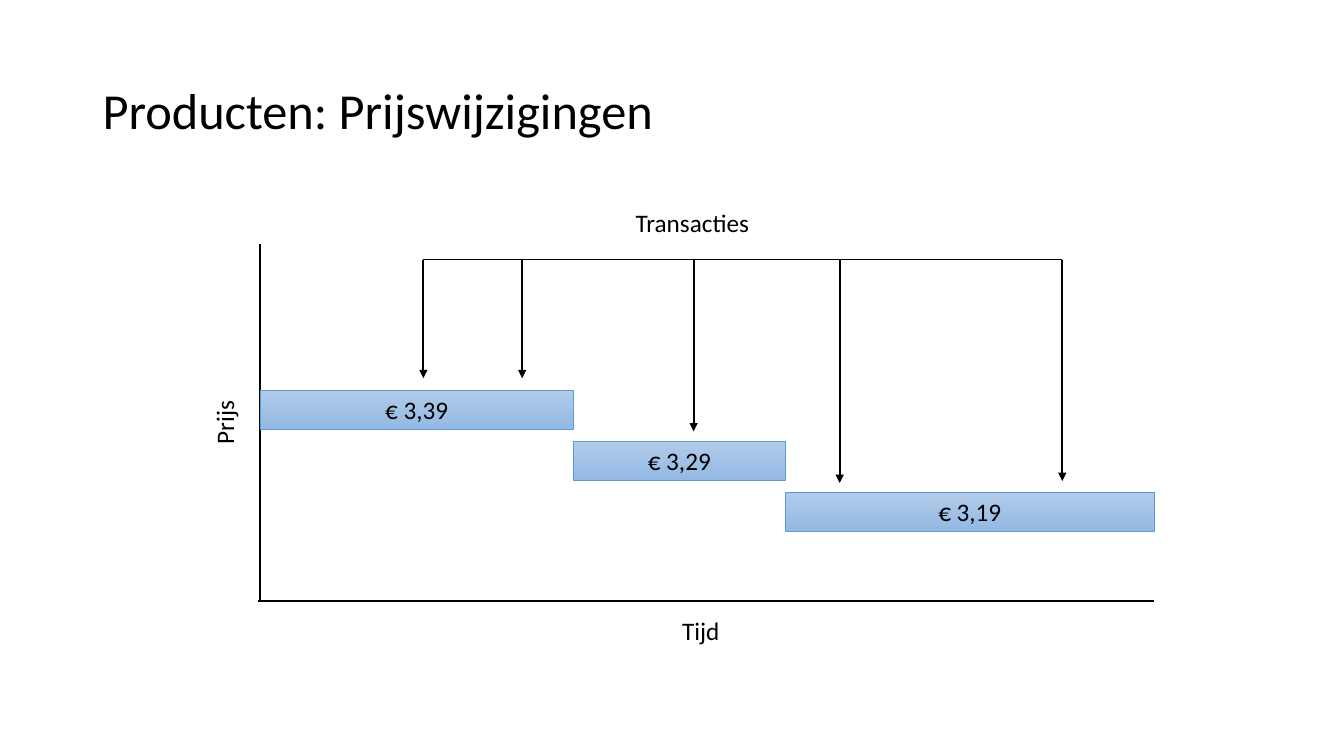
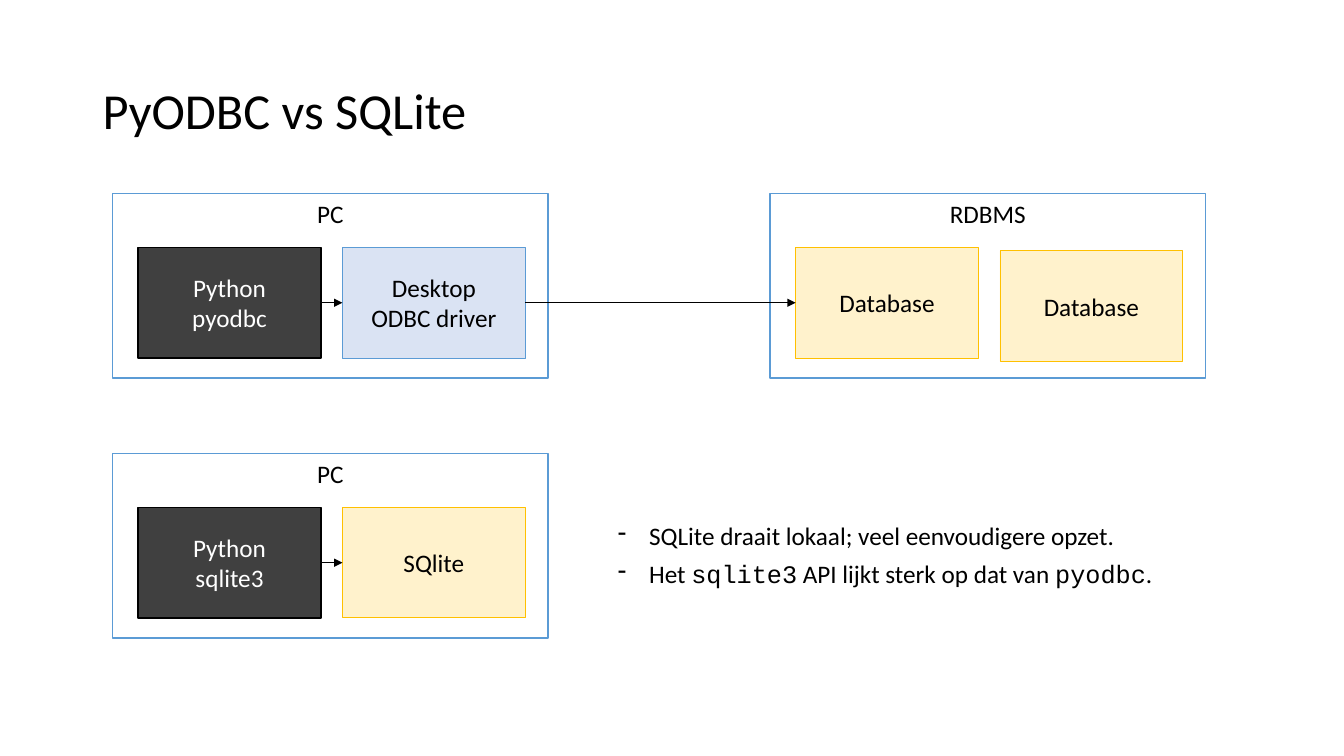
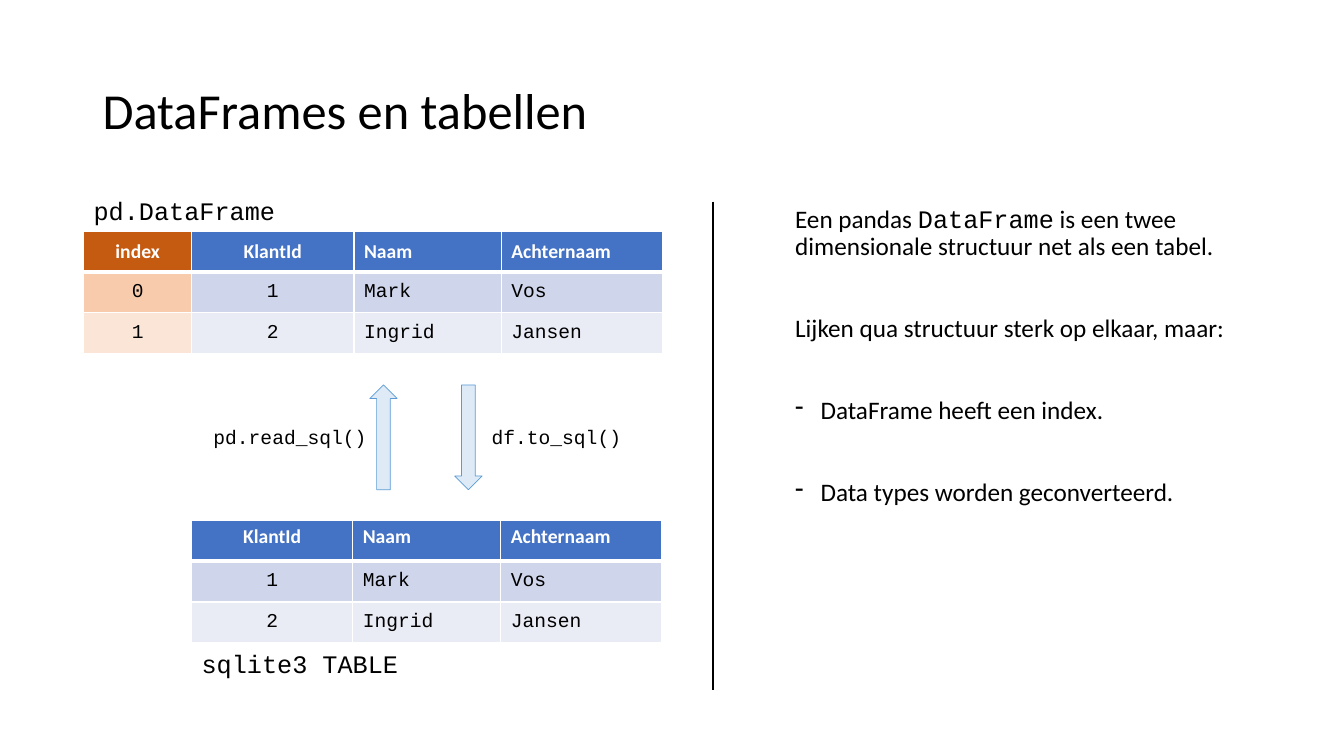
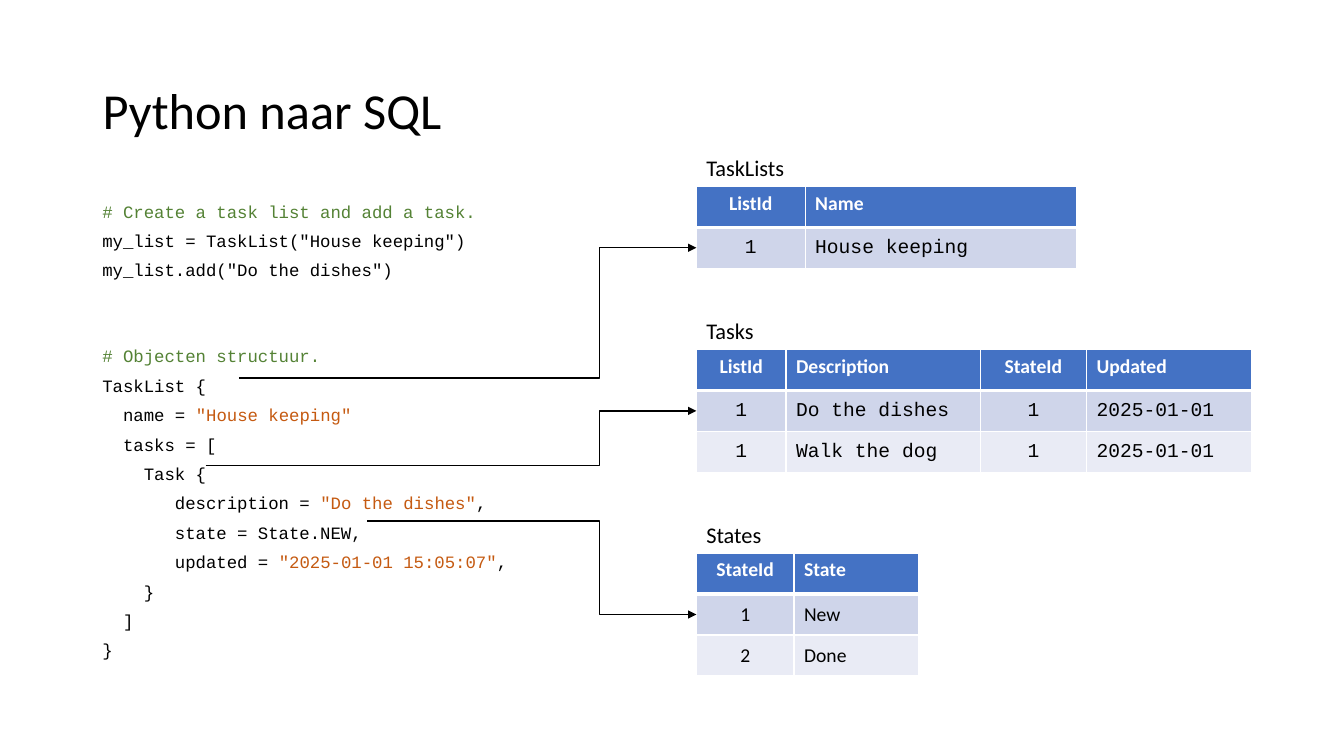
import pptx
import pptx.dml.color
import pptx.enum.shapes
import pptx.enum.text
import pptx.oxml
import pptx.oxml.ns
import pptx.util
from lxml import etree

Cm = pptx.util.Cm
Pt = pptx.util.Pt
SHAPES = pptx.enum.shapes.MSO_SHAPE
CONNECTORS = pptx.enum.shapes.MSO_CONNECTOR
ANCHORS = pptx.enum.text.MSO_ANCHOR
ALIGNS = pptx.enum.text.PP_ALIGN

SANS, MONO = "Calibri", "Courier New"
BLACK, WHITE = "000000", "FFFFFF"
BLUE, GOLD, ORANGE, GREEN = "5B9BD5", "FFC000", "C55A11", "548235"
BLUE_COLUMN = ("4472C4", "CFD5EA", "E9EBF5")
ORANGE_COLUMN = (ORANGE, "F8CBAD", "FBE5D6")
ROW_HEIGHT = 1.03

SYSTEM = {"fill": WHITE, "line": BLUE, "width": 1}
PYTHON = {"fill": "404040", "line": BLACK, "width": 1, "color": WHITE}
DRIVER = {"fill": "DAE3F3", "line": BLUE}
DATABASE = {"fill": "FFF2CC", "line": GOLD}


def rgb(value):
    """Turn a hex string into a colour."""
    return pptx.dml.color.RGBColor.from_string(value)


def add_xml(parent, tag, **attributes):
    """Append a DrawingML element and return it."""
    return etree.SubElement(parent, pptx.oxml.ns.qn(tag), **attributes)


def format_font(font, name=None, size=None, color=None, bold=None):
    """Set those font properties that are given."""
    if name:
        font.name = name
    if size:
        font.size = Pt(size)
    if color:
        font.color.rgb = rgb(color)
    if bold is not None:
        font.bold = bold


def add_bullet(para, indent):
    """Give a paragraph a hanging dash."""
    properties = para._p.get_or_add_pPr()
    properties.set("marL", str(Cm(indent)))
    properties.set("indent", str(-Cm(indent)))
    add_xml(properties, "a:buChar", char="-")


def write(frame, paragraphs, name=SANS, size=18, color=BLACK, bold=False, align=ALIGNS.LEFT,
          spacing=None, before=0, bullet=None):
    """Fill a text frame; a paragraph is a string or a list of (text, font changes) spans."""
    for number, spans in enumerate(paragraphs):
        para = frame.add_paragraph() if number else frame.paragraphs[0]
        if bullet:
            add_bullet(para, bullet)
        format_font(para.font, name, size, color, bold)
        para.alignment = align
        if spacing:
            para.line_spacing = spacing
        if number:
            para.space_before = Pt(before)
        for text, changes in [(spans, {})] if isinstance(spans, str) else spans:
            span = para.add_run()
            span.text = text
            format_font(span.font, **changes)


def add_page(deck, title):
    """Add a slide with a formatted title."""
    page = deck.slides.add_slide(deck.slide_layouts[5])
    box = page.shapes.title
    box.left, box.top, box.width, box.height = Cm(2.33), Cm(1.02), Cm(29.21), Cm(3.68)
    box.text_frame.vertical_anchor = ANCHORS.MIDDLE
    write(box.text_frame, [title], size=36, spacing=0.9)
    return page


def add_text(page, left, top, width, height, paragraphs, wrap=True, **style):
    """Add a text box."""
    box = page.shapes.add_textbox(Cm(left), Cm(top), Cm(width), Cm(height))
    box.text_frame.word_wrap = wrap
    write(box.text_frame, paragraphs, **style)
    return box


def add_label(page, left, top, width, text, height=1.02, **style):
    """Add a one-line label."""
    return add_text(page, left, top, width, height, [text], wrap=False, **style)


def add_box(page, left, top, width, height, paragraphs=(), fill=WHITE, line=BLUE, width_pt=0.5,
            color=BLACK, anchor=ANCHORS.MIDDLE, shape=SHAPES.RECTANGLE):
    """Add a filled shape with centred text; a pair of fills makes a vertical gradient."""
    box = page.shapes.add_shape(shape, Cm(left), Cm(top), Cm(width), Cm(height))
    box.shadow.inherit = False
    if isinstance(fill, str):
        box.fill.solid()
        box.fill.fore_color.rgb = rgb(fill)
    else:
        box.fill.gradient()
        box.fill.gradient_angle = 270
        for stop, value in zip(box.fill.gradient_stops, fill):
            stop.color.rgb = rgb(value)
    box.line.color.rgb = rgb(line)
    box.line.width = Pt(width_pt)
    box.text_frame.vertical_anchor = anchor
    write(box.text_frame, paragraphs, color=color, align=ALIGNS.CENTER)
    return box


def add_line(page, start, end, width=1.0, arrow=False, bend=None):
    """Add a straight line, or an elbow whose middle part stands at x = bend."""
    kind = CONNECTORS.STRAIGHT if bend is None else CONNECTORS.ELBOW
    line = page.shapes.add_connector(kind, *(Cm(value) for value in (*start, *end)))
    line.line.color.rgb = rgb(BLACK)
    line.line.width = Pt(width)
    properties = line._element.spPr
    if arrow:
        add_xml(line.line._get_or_add_ln(), "a:tailEnd", type="triangle")
    if bend is not None:
        share = round((bend - start[0]) / (end[0] - start[0]) * 100000)
        guides = properties.find(pptx.oxml.ns.qn("a:prstGeom")).get_or_add_avLst()
        add_xml(guides, "a:gd", name="adj1", fmla=f"val {share}")
    add_xml(properties, "a:effectLst")
    return line


def join(page, source, target):
    """Draw an arrow from the right side of one box to the left side of another."""
    line = add_line(page, (0, 0), (1, 1), arrow=True)
    line.begin_connect(source, 3)
    line.end_connect(target, 1)


def add_borders(cell, row):
    """Draw white cell borders, with a thick one under the header."""
    widths = {"L": 1, "R": 1, "T": 3 if row == 1 else 1, "B": 3 if row == 0 else 1}
    for side, width in widths.items():
        border = add_xml(cell._tc.get_or_add_tcPr(), f"a:ln{side}", w=str(Pt(width)))
        add_xml(add_xml(border, "a:solidFill"), "a:srgbClr", val=WHITE)


def add_table(page, left, top, widths, rows, centered=(0,), name=MONO,
              header_anchor=ANCHORS.TOP, first_column=BLUE_COLUMN):
    """Add a table with a header row and shaded body rows."""
    frame = page.shapes.add_table(len(rows), len(widths), Cm(left), Cm(top),
                                  Cm(sum(widths)), Cm(ROW_HEIGHT * len(rows)))
    table = frame.table
    for column, width in zip(table.columns, widths):
        column.width = Cm(width)
    for row, texts in enumerate(rows):
        table.rows[row].height = Cm(ROW_HEIGHT)
        header = row == 0
        for column, text in enumerate(texts):
            cell = table.cell(row, column)
            add_borders(cell, row)
            cell.fill.solid()
            cell.fill.fore_color.rgb = rgb((BLUE_COLUMN if column else first_column)[row])
            cell.vertical_anchor = header_anchor if header else ANCHORS.MIDDLE
            write(cell.text_frame, [text], name=SANS if header else name, size=14,
                  color=WHITE if header else BLACK, bold=header,
                  align=ALIGNS.CENTER if column in centered else ALIGNS.LEFT)


def add_system(page, left, top, title, parts):
    """Draw a system frame with its parts side by side and return the parts."""
    add_styled(page, left, top, 10.97, 4.65, [title], SYSTEM, ANCHORS.TOP)
    return [add_styled(page, left + 0.64 + 5.15 * number, top + 1.36 + drop, 4.61, 2.78,
                       lines, style)
            for number, (lines, style, drop) in enumerate(parts)]


def add_styled(page, left, top, width, height, lines, style, anchor=ANCHORS.MIDDLE):
    """Add a box in one of the named styles."""
    return add_box(page, left, top, width, height, lines, style["fill"], style["line"],
                   style.get("width", 0.5), style.get("color", BLACK), anchor)


def build_prices(deck):
    """Show price changes over time."""
    page = add_page(deck, "Producten: Prijswijzigingen")
    axis, base, top = 6.55, 15.14, 6.54
    add_line(page, (axis, 6.15), (axis, base), 1.5)
    add_line(page, (6.5, base), (29.08, base), 1.5)
    add_label(page, 16.94, 15.39, 1.48, "Tijd")
    add_label(page, 4.85, 10.13, 1.6, "Prijs").rotation = 270
    left = axis
    for number, (price, width) in enumerate([("€ 3,39", 7.9), ("€ 3,29", 5.34), ("€ 3,19", 9.3)]):
        add_box(page, left, 9.83 + 1.29 * number, width, 0.98, [price], ("B1CBE9", "93B9E4"))
        left += width
    add_label(page, 15.77, 5.11, 3.4, "Transacties")
    moments = [(10.67, 9.53), (13.16, 9.53), (17.48, 10.87), (21.16, 12.17), (26.77, 12.12)]
    for moment, bottom in moments:
        add_line(page, (moment, top), (moment, bottom), 1.5, arrow=True)
    add_line(page, (moments[0][0], top), (moments[-1][0], top))


def build_connections(deck):
    """Compare the routes to a database."""
    page = add_page(deck, "PyODBC vs SQLite")
    python, driver = add_system(page, 2.84, 4.88, "PC", [
        (["Python", "pyodbc"], PYTHON, 0), (["Desktop", "ODBC driver"], DRIVER, 0)])
    database, _ = add_system(page, 19.41, 4.88, "RDBMS", [
        (["Database"], DATABASE, 0), (["Database"], DATABASE, 0.08)])
    local_python, sqlite = add_system(page, 2.84, 11.43, "PC", [
        (["Python", "sqlite3"], PYTHON, 0), (["SQlite"], DATABASE, 0)])
    for source, target in [(python, driver), (driver, database), (local_python, sqlite)]:
        join(page, source, target)
    mono = {"name": MONO}
    add_text(page, 15.32, 12.98, 14.35, 2.16, [
        "SQLite draait lokaal; veel eenvoudigere opzet.",
        [("Het ", {}), ("sqlite3", mono), (" API lijkt sterk op dat van ", {}),
         ("pyodbc", mono), (".", {})],
    ], before=6, bullet=0.79)


def build_frames(deck):
    """Compare a data frame with a table."""
    page = add_page(deck, "DataFrames en tabellen")
    box = add_text(page, 19.79, 5.08, 11.76, 12.09, [
        [("Een pandas ", {}), ("DataFrame", {"name": MONO}),
         (" is een twee dimensionale structuur net als een tabel.", {})],
        "Lijken qua structuur sterk op elkaar, maar:",
    ], spacing=0.9, before=39)
    for text in ("DataFrame heeft een index.", "Data types worden geconverteerd."):
        para = box.text_frame.add_paragraph()
        add_bullet(para, 0.64)
        format_font(para.font, SANS, 18, BLACK)
        para.line_spacing = 0.9
        para.space_before = Pt(39)
        para.add_run().text = text
    add_line(page, (17.96, 5.08), (17.96, 17.4), 1.5)

    rows = [("KlantId", "Naam", "Achternaam"), ("1", "Mark", "Vos"), ("2", "Ingrid", "Jansen")]
    indexed = [(index, *row) for index, row in zip(("index", "0", "1"), rows)]
    add_table(page, 2.11, 5.82, (2.72, 4.09, 3.71, 4.06), indexed, centered=(0, 1),
              header_anchor=ANCHORS.MIDDLE, first_column=ORANGE_COLUMN)
    add_table(page, 4.83, 13.11, (4.06, 3.73, 4.06), rows)
    for left, shape in ((9.32, SHAPES.UP_ARROW), (11.46, SHAPES.DOWN_ARROW)):
        add_box(page, left, 9.7, 0.69, 2.64, fill="DEEBF7", shape=shape)
    for left, width, text in ((5.13, 4.39, "pd.read_sql()"), (12.14, 3.78, "df.to_sql()")):
        add_label(page, left, 10.59, width, text, height=0.86, name=MONO, size=14)
    add_label(page, 2.11, 4.8, 5.1, "pd.DataFrame", name=MONO)
    add_label(page, 4.83, 16.2, 5.5, "sqlite3 TABLE", name=MONO)


def build_mapping(deck):
    """Map Python objects to tables."""
    page = add_page(deck, "Python naar SQL")
    comment, literal = {"color": GREEN}, {"color": ORANGE}
    code = add_text(page, 2.33, 5.08, 13.18, 12.09, [
        [("# Create a task list and add a task.", comment)],
        'my_list = TaskList("House keeping")',
        'my_list.add("Do the dishes")',
        [("# Objecten structuur.", comment)],
        "TaskList {",
        [("  name = ", {}), ('"House keeping"', literal)],
        "  tasks = [",
        "    Task {",
        [("       description = ", {}), ('"Do the dishes"', literal), (",", {})],
        "       state = State.NEW,",
        [("       updated = ", {}), ('"2025-01-01 15:05:07"', literal), (",", {})],
        "    }",
        "  ]",
        "}",
    ], name=MONO, size=12.4, spacing=0.7, before=10.6)
    code.text_frame.paragraphs[3].space_before = Pt(51)

    left = 17.55
    tables = [
        ("TaskLists", 2.49, 4.7, (2.74, 6.83), (0,), MONO, (6.02, 9.53),
         [("ListId", "Name"), ("1", "House keeping")]),
        ("Tasks", 1.7, 8.81, (2.26, 4.9, 2.67, 4.17), (0, 2), MONO, (5.18, 11.73),
         [("ListId", "Description", "StateId", "Updated"),
          ("1", "Do the dishes", "1", "2025-01-01"),
          ("1", "Walk the dog", "1", "2025-01-01")]),
        ("States", 1.93, 13.94, (2.46, 3.15), (0,), SANS, (9.25, 13.13),
         [("StateId", "State"), ("1", "New"), ("2", "Done")]),
    ]
    for title, title_width, top, widths, centered, name, start, rows in tables:
        add_label(page, left, top - 0.94, title_width, title, height=0.94, size=16)
        add_table(page, left, top, widths, rows, centered, name)
        add_line(page, start, (left, top + 1.5 * ROW_HEIGHT), arrow=True, bend=15.11)


def main():
    """Build and save the deck."""
    deck = pptx.Presentation()
    deck.slide_width, deck.slide_height = Cm(33.87), Cm(19.05)
    build_prices(deck)
    build_connections(deck)
    build_frames(deck)
    build_mapping(deck)
    deck.save("out.pptx")


if __name__ == "__main__":
    main()
